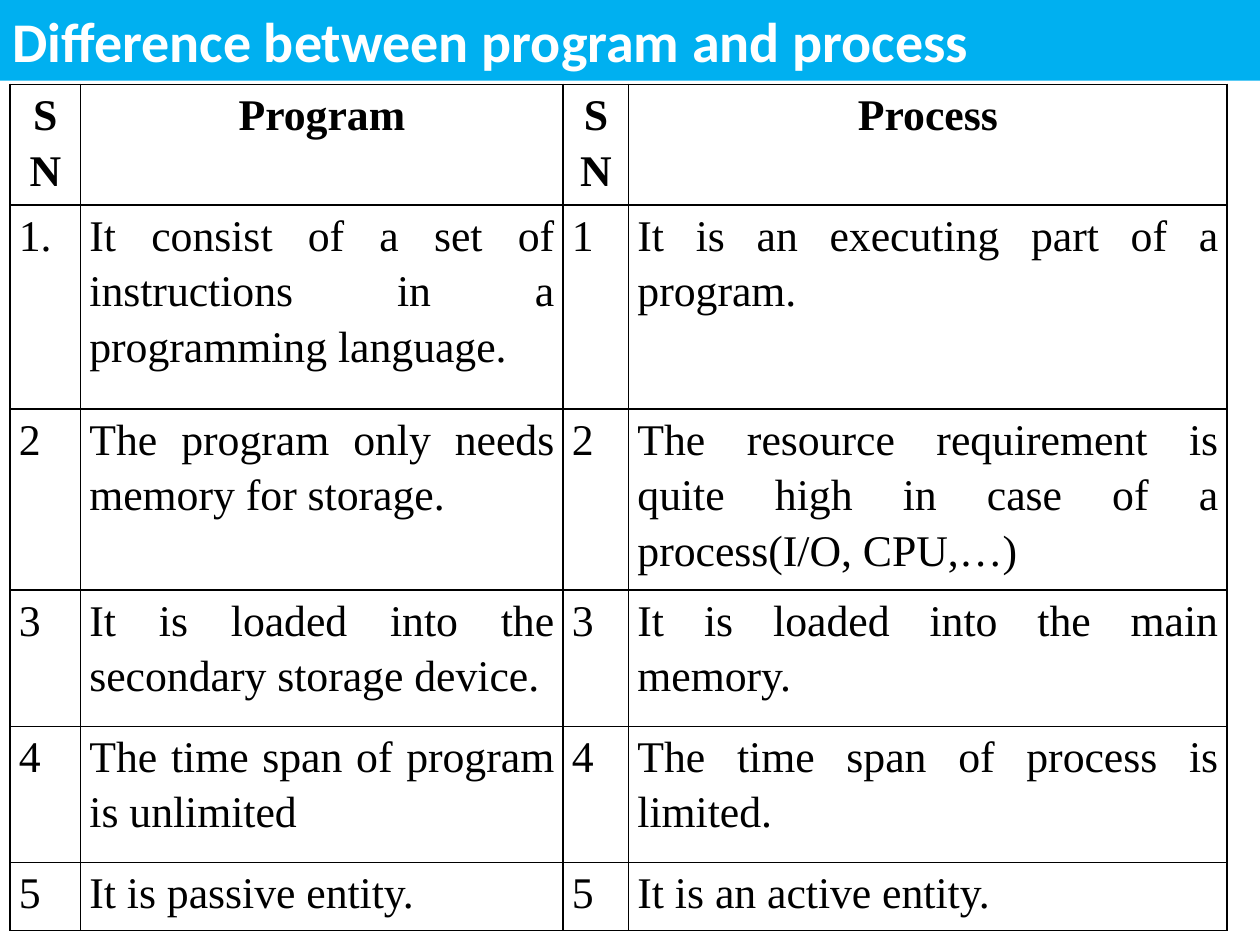
from dataclasses import dataclass

from lxml.etree import SubElement
from pptx import Presentation
from pptx.dml.color import RGBColor
from pptx.enum.shapes import MSO_SHAPE
from pptx.enum.text import MSO_ANCHOR, MSO_AUTO_SIZE, PP_ALIGN
from pptx.oxml.ns import qn
from pptx.util import Inches, Pt


@dataclass
class Row:
    height: float
    texts: tuple[str, str, str, str]


COLUMN_WIDTHS = (0.56, 3.83, 0.52, 4.75)
ROWS = (
    Row(0.67, ("SN", "Program", "SN", "Process")),
    Row(1.62, ("1.", "It consist of a set of instructions in a programming language.",
               "1", "It is an executing part of a program.")),
    Row(1.08, ("2", "The program only needs memory for storage.",
               "2", "The resource requirement is quite high in case of a process(I/O, CPU,…)")),
    Row(1.08, ("3", "It is loaded into the secondary storage device.",
               "3", "It is loaded into the main memory.")),
    Row(1.08, ("4", "The time span of program is unlimited",
               "4", "The time span of process is limited.")),
    Row(0.54, ("5", "It is passive entity.", "5", "It is an active entity.")),
)


def color(value: str) -> RGBColor:
    return RGBColor.from_string(value)


def style_font(p, name: str, size: float, value: str, bold: bool) -> None:
    p.font.name = name
    p.font.size = Pt(size)
    p.font.bold = bold
    p.font.color.rgb = color(value)


def add_borders(cell, value: str, width: float) -> None:
    props = cell._tc.get_or_add_tcPr()
    for side in ("a:lnL", "a:lnR", "a:lnT", "a:lnB"):
        line = SubElement(props, qn(side), w=str(Pt(width)))
        fill = SubElement(line, qn("a:solidFill"))
        SubElement(fill, qn("a:srgbClr"), val=value)


def fill_cell(cell, text: str, header: bool) -> None:
    add_borders(cell, "000000", 1)
    cell.fill.background()
    cell.margin_left = cell.margin_right = Inches(0.07)
    cell.margin_top = cell.margin_bottom = 0
    p = cell.text_frame.paragraphs[0]
    p.text = text
    p.line_spacing = 1.15
    p.alignment = PP_ALIGN.CENTER if header else PP_ALIGN.JUSTIFY
    if header:
        p.space_before = Pt(5)
        p.space_after = Pt(4)
    style_font(p, "Times New Roman", 25, "000000", header)


def add_title(s, text: str) -> None:
    sp = s.shapes.add_shape(MSO_SHAPE.RECTANGLE, 0, 0, Inches(10), Inches(0.64))
    sp.shadow.inherit = False
    sp.fill.solid()
    sp.fill.fore_color.rgb = color("00B0F0")
    sp.line.fill.background()
    tf = sp.text_frame
    tf.word_wrap = True
    tf.auto_size = MSO_AUTO_SIZE.SHAPE_TO_FIT_TEXT
    tf.vertical_anchor = MSO_ANCHOR.TOP
    p = tf.paragraphs[0]
    p.text = text
    p.alignment = PP_ALIGN.LEFT
    style_font(p, "Calibri", 32, "FFFFFF", True)


def add_comparison(s, rows: tuple[Row, ...]) -> None:
    table = s.shapes.add_table(
        len(rows), len(COLUMN_WIDTHS), Inches(0.08), Inches(0.67),
        Inches(sum(COLUMN_WIDTHS)), Inches(sum(row.height for row in rows)),
    ).table
    table.horz_banding = False
    for column, width in zip(table.columns, COLUMN_WIDTHS):
        column.width = Inches(width)
    for i, row in enumerate(rows):
        table.rows[i].height = Inches(row.height)
        for j, text in enumerate(row.texts):
            fill_cell(table.cell(i, j), text, i == 0)


prs = Presentation()
prs.slide_width = Inches(10)
prs.slide_height = Inches(7.5)
s = prs.slides.add_slide(prs.slide_layouts[6])
add_title(s, "Difference between program and process")
add_comparison(s, ROWS)
prs.save("out.pptx")
